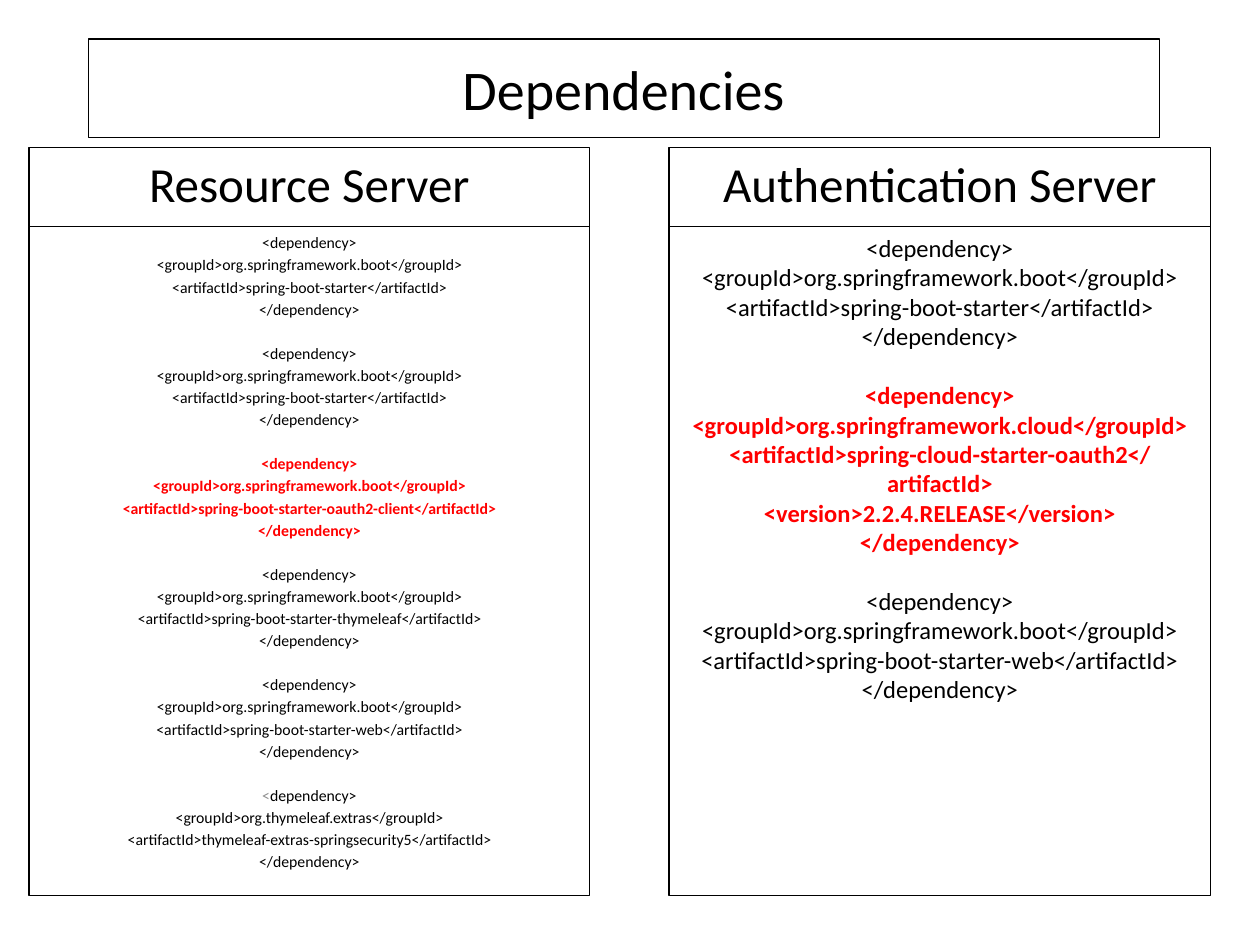
from pptx import Presentation
from pptx.dml.color import RGBColor
from pptx.enum.shapes import MSO_SHAPE
from pptx.enum.text import MSO_ANCHOR, MSO_AUTO_SIZE, PP_ALIGN
from pptx.util import Inches, Pt

BLACK = RGBColor(0x00, 0x00, 0x00)
RED = RGBColor(0xFF, 0x00, 0x00)
GREY = RGBColor(0x8C, 0x8C, 0x8C)

BOOT = "org.springframework.boot"
CLOUD = "org.springframework.cloud"
EXTRAS = "org.thymeleaf.extras"

RESOURCE_DEPENDENCIES = [
    {"group": BOOT, "artifact": "spring-boot-starter"},
    {"group": BOOT, "artifact": "spring-boot-starter"},
    {"group": BOOT, "artifact": "spring-boot-starter-oauth2-client", "highlight": True},
    {"group": BOOT, "artifact": "spring-boot-starter-thymeleaf"},
    {"group": BOOT, "artifact": "spring-boot-starter-web"},
    {"group": EXTRAS, "artifact": "thymeleaf-extras-springsecurity5", "grey_bracket": True},
]
AUTHENTICATION_DEPENDENCIES = [
    {"group": BOOT, "artifact": "spring-boot-starter"},
    {"group": CLOUD, "artifact": "spring-cloud-starter-oauth2",
     "version": "2.2.4.RELEASE", "highlight": True},
    {"group": BOOT, "artifact": "spring-boot-starter-web"},
]
SERVERS = [
    {"name": "Resource Server", "left": 0.23, "width": 4.45, "size": 9,
     "line_gap": 1.8, "block_gap": 14.4, "dependencies": RESOURCE_DEPENDENCIES},
    {"name": "Authentication Server", "left": 5.31, "width": 4.3, "size": 14,
     "line_gap": 0, "block_gap": 16.8, "dependencies": AUTHENTICATION_DEPENDENCIES},
]
HEADER_TOP, HEADER_HEIGHT, LISTING_HEIGHT = 1.17, 0.63, 5.31


def apply_format(target, values):
    """Set every attribute named in a dict of format values."""
    for attribute, value in values.items():
        setattr(target, attribute, value)


def style_frame(box, anchor):
    """Give a box its outline and its text frame settings."""
    box.fill.background()
    box.line.color.rgb = BLACK
    box.line.width = Pt(0.75)
    apply_format(box.text_frame, {
        "word_wrap": True, "auto_size": MSO_AUTO_SIZE.NONE, "vertical_anchor": anchor})


def add_run(paragraph, text, size, color=BLACK, bold=False):
    """Append formatted text to a paragraph."""
    run = paragraph.add_run()
    run.text = text
    apply_format(run.font, {"name": "Calibri", "size": Pt(size), "bold": bold})
    run.font.color.rgb = color


def set_title(slide, text):
    """Place and format the slide title."""
    title = slide.shapes.title
    apply_format(title, {"left": Inches(0.7), "top": Inches(0.31),
                         "width": Inches(8.5), "height": Inches(0.78)})
    style_frame(title, MSO_ANCHOR.MIDDLE)
    heading = title.text_frame.paragraphs[0]
    heading.alignment = PP_ALIGN.CENTER
    add_run(heading, text, 32)


def add_box(slide, left, top, width, height):
    """Add an outlined rectangle and return its text frame."""
    box = slide.shapes.add_shape(
        MSO_SHAPE.RECTANGLE, Inches(left), Inches(top), Inches(width), Inches(height))
    box.shadow.inherit = False
    style_frame(box, MSO_ANCHOR.TOP)
    return box.text_frame


def dependency_lines(dependency):
    """Return the XML lines of one dependency."""
    tags = {"groupId": "group", "artifactId": "artifact", "version": "version"}
    elements = [f"<{tag}>{dependency[key]}</{tag}>"
                for tag, key in tags.items() if key in dependency]
    return ["<dependency>", *elements, "</dependency>"]


def add_listing(frame, server):
    """Write the dependencies of a server as spaced blocks."""
    size = server["size"]
    for block, dependency in enumerate(server["dependencies"]):
        highlight = dependency.get("highlight", False)
        color = RED if highlight else BLACK
        for row, text in enumerate(dependency_lines(dependency)):
            first = block == 0 and row == 0
            line = frame.paragraphs[0] if first else frame.add_paragraph()
            gap = server["line_gap"] if row else server["block_gap"]
            apply_format(line, {"alignment": PP_ALIGN.CENTER,
                                "space_before": Pt(0 if first else gap)})
            if row == 0 and dependency.get("grey_bracket"):
                add_run(line, text[0], size, GREY)
                text = text[1:]
            add_run(line, text, size, color, highlight)


def add_server(slide, server):
    """Add the header and the dependency listing of a server."""
    left, width = server["left"], server["width"]
    listing = add_box(slide, left, HEADER_TOP + HEADER_HEIGHT, width, LISTING_HEIGHT)
    add_listing(listing, server)
    header = add_box(slide, left, HEADER_TOP, width, HEADER_HEIGHT).paragraphs[0]
    header.alignment = PP_ALIGN.CENTER
    add_run(header, server["name"], 28)


def main():
    """Build the dependencies slide."""
    presentation = Presentation()
    apply_format(presentation, {"slide_width": Inches(10), "slide_height": Inches(7.5)})
    slide = presentation.slides.add_slide(presentation.slide_layouts[5])
    set_title(slide, "Dependencies")
    for server in SERVERS:
        add_server(slide, server)
    presentation.save("out.pptx")


main()
